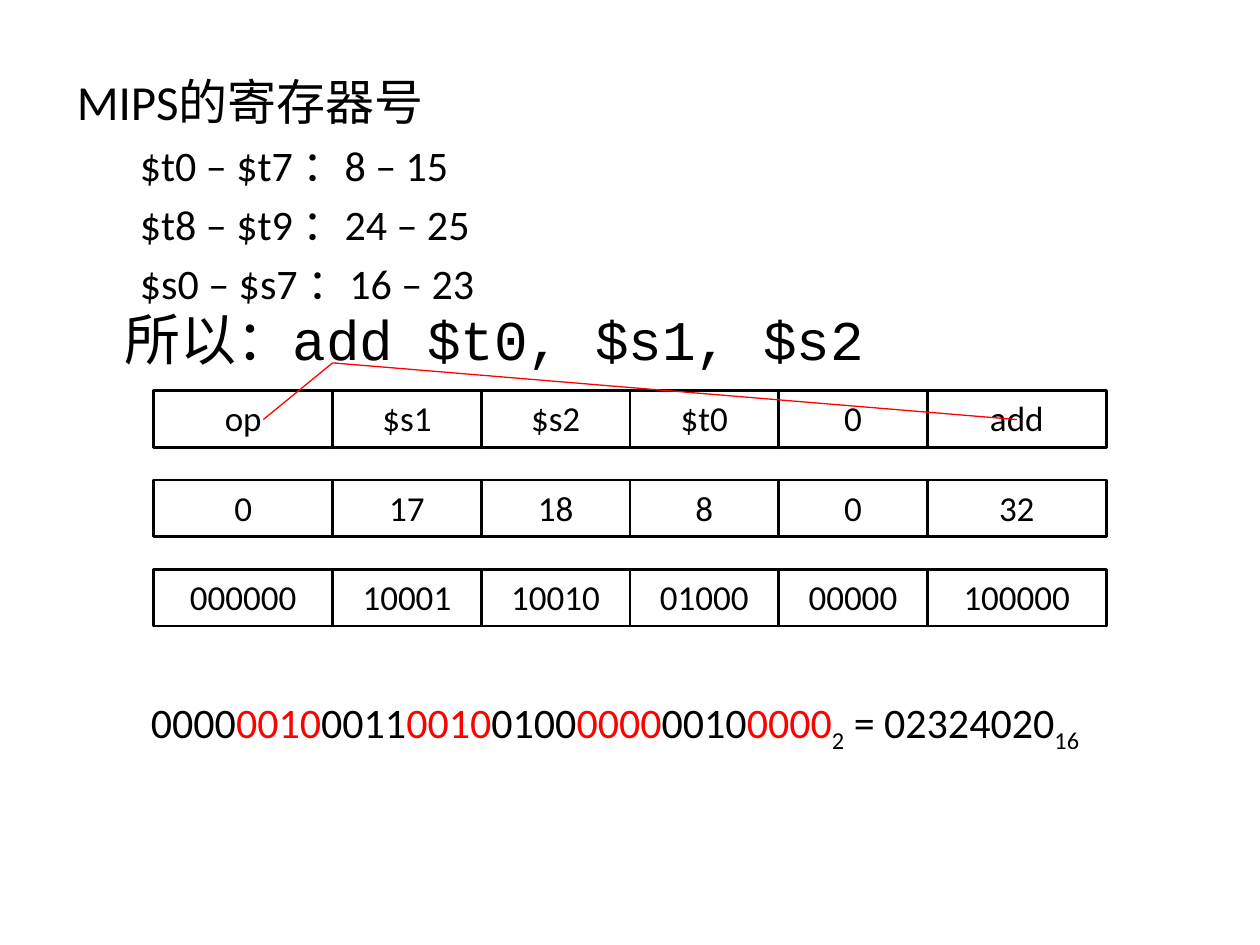
from lxml.etree import SubElement
from pptx import Presentation
from pptx.dml.color import RGBColor
from pptx.enum.shapes import MSO_CONNECTOR as Link, MSO_SHAPE as Kind
from pptx.enum.text import MSO_ANCHOR as Anchor, MSO_AUTO_SIZE as Fit, PP_ALIGN as Align
from pptx.oxml.ns import qn
from pptx.util import Inches, Pt

INK = {"text": "000000", "mark": "FF0000"}
HEAD = "MIPS的寄存器号"
REGS = ["$t0 – $t7 ：8 – 15", "$t8 – $t9 ：24 – 25", "$s0 – $s7 ：16 – 23"]
CODE = "所以：add $t0, $s1, $s2"
ROWS = [
    ["op", "$s1", "$s2", "$t0", "0", "add"],
    ["0", "17", "18", "8", "0", "32"],
    ["000000", "10001", "10010", "01000", "00000", "100000"],
]
BITS = ["0000", "0010", "0011", "0010", "0100", "0000", "0010", "0000"]
TAIL = [("2", -25), (" = 02324020", 0), ("16", -25)]

WIDE = [1.42, 1.18, 1.18, 1.18, 1.18, 1.42]
LEFT, TOP, HIGH, STEP = 1.22, 3.1, 0.45, 0.71


def color(name):
    return RGBColor.from_string(INK[name])


def add_run(para, text, size, face="Calibri", ink="text", base=0):
    """Add a run; base is the baseline shift in percent."""
    run = para.add_run()
    run.text = text
    font = run.font
    font.size, font.name = Pt(size), face
    font.color.rgb = color(ink)
    if base:
        run._r.get_or_add_rPr().set("baseline", str(base * 1000))


def indent(para, left):
    """Set the left margin, with no hanging indent and no bullet."""
    props = para._p.get_or_add_pPr()
    props.set("marL", str(Inches(left)))
    props.set("indent", "0")
    SubElement(props, qn("a:buNone"))


def add_box(slide, *place):
    frame = slide.shapes.add_textbox(*map(Inches, place)).text_frame
    frame.word_wrap = True
    return frame.paragraphs[0]


def add_list(slide):
    body = slide.placeholders[1]
    body.left, body.top = Inches(0.51), Inches(0.52)
    body.width, body.height = Inches(9), Inches(1.97)
    frame = body.text_frame
    frame.auto_size, frame.vertical_anchor = Fit.NONE, Anchor.TOP
    for i, text in enumerate([HEAD] + REGS):
        para = frame.add_paragraph() if i else frame.paragraphs[0]
        para.level = 1 if i else 0
        indent(para, 0.5 if i else 0)
        para.space_before = Pt(5 if i else 0)
        add_run(para, text, 24 if i else 28)


def add_cell(slide, text, *place):
    cell = slide.shapes.add_shape(Kind.RECTANGLE, *map(Inches, place))
    cell.shadow.inherit = False
    cell.fill.background()
    cell.line.color.rgb, cell.line.width = color("text"), Pt(1.5)
    frame = cell.text_frame
    frame.auto_size, frame.vertical_anchor = Fit.SHAPE_TO_FIT_TEXT, Anchor.TOP
    para = frame.paragraphs[0]
    para.alignment = Align.CENTER
    add_run(para, text, 20)


def add_line(slide, *ends):
    line = slide.shapes.add_connector(Link.STRAIGHT, *map(Inches, ends))
    line.line.color.rgb, line.line.width = color("mark"), Pt(0.75)
    SubElement(line._element.spPr, qn("a:effectLst"))


def main():
    deck = Presentation()
    deck.slide_width, deck.slide_height = Inches(10), Inches(7.5)
    slide = deck.slides.add_slide(deck.slide_layouts[1])
    title = slide.shapes.title._element
    title.getparent().remove(title)
    add_list(slide)

    para = add_box(slide, 0.51, 2.37, 9.05, 0.71)
    indent(para, 0.38)
    add_run(para, CODE, 32, "Courier New")

    for i, row in enumerate(ROWS):
        for j, text in enumerate(row):
            add_cell(slide, text, LEFT + sum(WIDE[:j]), TOP + i * STEP, WIDE[j], HIGH)

    para = add_box(slide, 1.1, 5.48, 8.9, 0.55)
    for i, text in enumerate(BITS):
        add_run(para, text, 24, ink="mark" if i % 2 else "text")
    for text, base in TAIL:
        add_run(para, text, 24, base=base)

    for x in (2.09, 8.07):
        add_line(slide, 2.64, 2.88, x, 3.33)
    deck.save("out.pptx")


if __name__ == "__main__":
    main()
